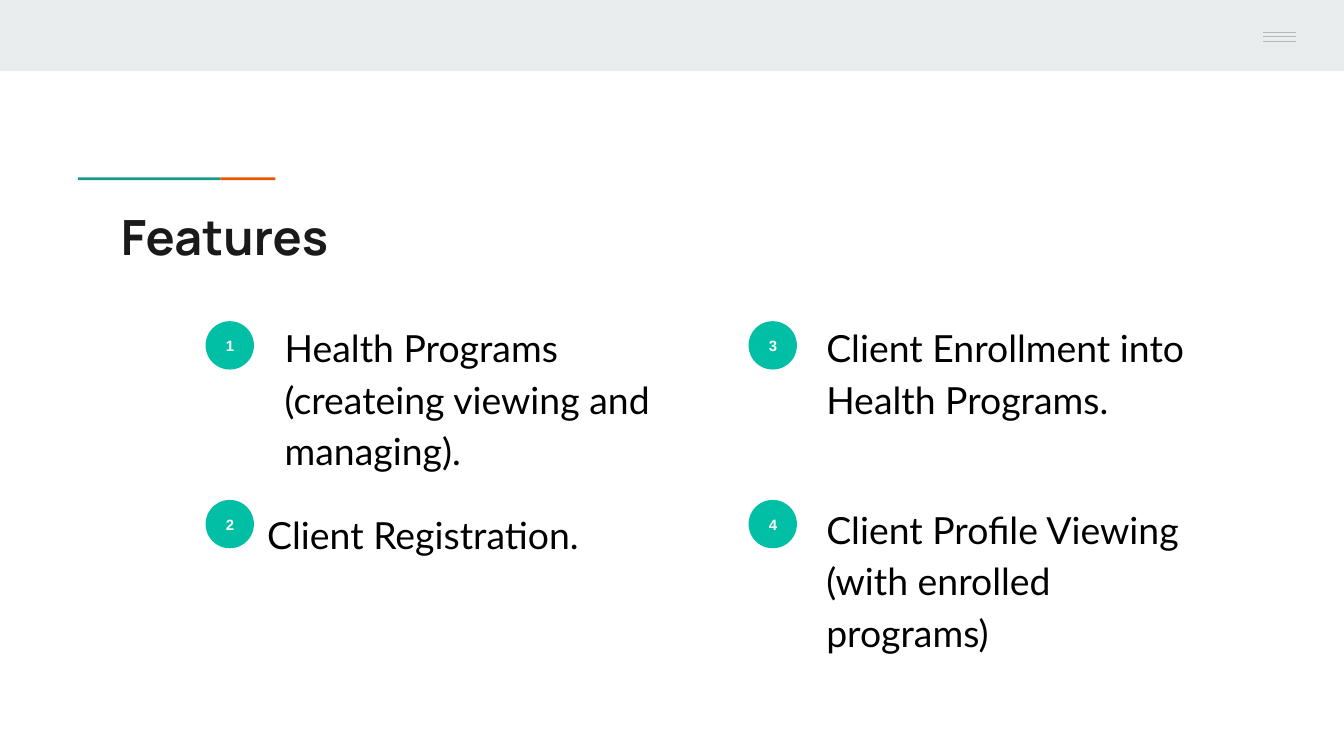
from lxml import etree
from pptx import Presentation
from pptx.dml.color import RGBColor
from pptx.enum.shapes import MSO_CONNECTOR, MSO_SHAPE
from pptx.enum.text import MSO_ANCHOR, PP_ALIGN
from pptx.oxml.ns import qn
from pptx.util import Inches, Pt

RECT, OVAL = MSO_SHAPE.RECTANGLE, MSO_SHAPE.OVAL
LINE = MSO_CONNECTOR.STRAIGHT
TOP, MIDDLE = MSO_ANCHOR.TOP, MSO_ANCHOR.MIDDLE
LEFT, CENTER = PP_ALIGN.LEFT, PP_ALIGN.CENTER

COLORS = {
    "band": "E9EDEE", "orange": "EB5600", "teal": "1A9988",
    "menu": "B7B7B7", "title": "1A1A1A", "badge": "00BFA5",
    "white": "FFFFFF", "black": "000000",
}
TITLE = "Features"
# Text, then left and top of its box
ITEMS = [
    ("Health Programs (createing viewing and managing).", 2.02, 2.27),
    ("Client Registration.", 1.89, 3.66),
    ("Client Enrollment into Health Programs.", 6.05, 2.27),
    ("Client Profile Viewing (with enrolled programs)", 6.05, 3.62),
]
BARS = [  # left, top, width, height, colour
    (0, 0, 10, 0.53, "band"),
    (0.58, 1.32, 1.06, 0.02, "teal"),
    (1.64, 1.32, 0.41, 0.02, "orange"),
    (9.06, 0, 0.94, 0.5, "band"),
]
MENU_TOPS = [0.24, 0.27, 0.31]
COLS, ROWS, BADGE = [1.53, 5.57], [2.39, 3.72], 0.36


def color(name):
    return RGBColor.from_string(COLORS[name])


def add_shape(kind, x, y, w, h, fill):
    shape = slide.shapes.add_shape(kind, Inches(x), Inches(y), Inches(w), Inches(h))
    shape.shadow.inherit = False
    shape.fill.solid()
    shape.fill.fore_color.rgb = color(fill)
    shape.line.fill.background()
    return shape


def set_text(shape, text, font, size, ink, bold=False, align=LEFT, anchor=TOP):
    frame = shape.text_frame
    frame.text = text
    frame.word_wrap = True
    frame.vertical_anchor = anchor
    frame.margin_left = frame.margin_right = Inches(0.1)
    frame.margin_top = frame.margin_bottom = Inches(0.1)
    para = frame.paragraphs[0]
    para.alignment = align
    face = para.runs[0].font
    face.name, face.size, face.bold = font, Pt(size), bold
    face.color.rgb = color(ink)
    return para


prs = Presentation()
prs.slide_width = Inches(10)
prs.slide_height = prs.slide_width * 9 // 16
slide = prs.slides.add_slide(prs.slide_layouts[5])

for bar in BARS:
    add_shape(RECT, *bar)

for y in MENU_TOPS:
    line = slide.shapes.add_connector(LINE, Inches(9.4), Inches(y), Inches(9.64), Inches(y))
    line.line.color.rgb = color("menu")
    line.line.width = Pt(0.75)
    etree.SubElement(line._element.spPr, qn("a:effectLst"))

title = slide.shapes.title
title.left, title.top = Inches(0.8), Inches(1.44)
title.width, title.height = Inches(8.41), Inches(0.59)
set_text(title, TITLE, "Manrope", 26, "title", bold=True)

for i, (text, x, y) in enumerate(ITEMS):
    col, row = divmod(i, len(ROWS))
    badge = add_shape(OVAL, COLS[col], ROWS[row], BADGE, BADGE, "badge")
    set_text(badge, str(i + 1), "Arial", 8, "white", True, CENTER, MIDDLE)
    box = slide.shapes.add_textbox(Inches(x), Inches(y), Inches(3.1), Inches(1.15))
    para = set_text(box, text, "Lato", 20, "black")
    para.line_spacing = 1.15
    para.space_after = Pt(16)

prs.save("out.pptx")
